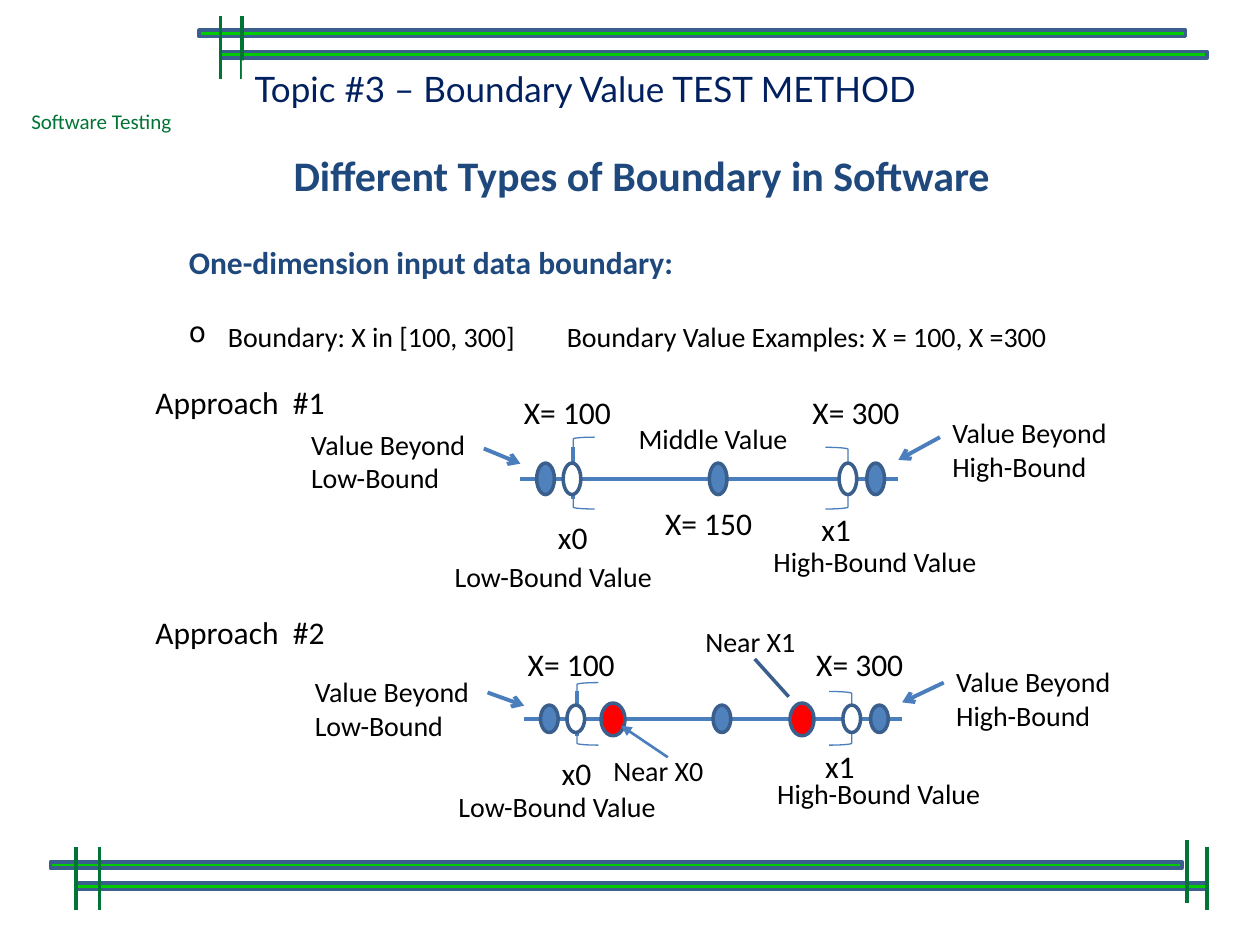
from pptx import Presentation
from pptx.dml.color import RGBColor
from pptx.enum.shapes import MSO_CONNECTOR, MSO_SHAPE
from pptx.enum.text import MSO_ANCHOR, MSO_AUTO_SIZE, PP_ALIGN
from pptx.oxml.ns import qn
from pptx.util import Emu, Inches, Pt
from lxml.etree import SubElement

COLS, ROWS = 100, 75

BLACK = RGBColor(0x00, 0x00, 0x00)
WHITE = RGBColor(0xFF, 0xFF, 0xFF)
NAVY = RGBColor(0x00, 0x20, 0x60)
STEEL = RGBColor(0x1F, 0x49, 0x7D)
BLUE = RGBColor(0x4F, 0x81, 0xBD)
AXIS = RGBColor(0x4B, 0x7E, 0xBC)
EDGE = RGBColor(0x3A, 0x5F, 0x8C)
GREEN = RGBColor(0x00, 0xCC, 0x00)
PINE = RGBColor(0x00, 0x74, 0x34)
RED = RGBColor(0xFF, 0x00, 0x00)


class Sheet:
    """One slide, drawn in columns and rows of an even grid."""

    font = "Calibri"

    def __init__(self, deck):
        self.col = deck.slide_width / COLS
        self.row = deck.slide_height / ROWS
        self.slide = deck.slides.add_slide(deck.slide_layouts[5])
        self.shapes = self.slide.shapes

    def place(self, x, y, w, h):
        return [Emu(round(n)) for n in
                (x * self.col, y * self.row, w * self.col, h * self.row)]

    def style(self, part, size, color, bold=False, font=None):
        for run in part.runs:
            run.font.name = font or self.font
            run.font.size = Pt(size)
            run.font.bold = bold
            run.font.color.rgb = color

    def shape(self, kind, x, y, w, h, fill=None, edge=EDGE, width=2):
        item = self.shapes.add_shape(kind, *self.place(x, y, w, h))
        item.shadow.inherit = False
        if fill is None:
            item.fill.background()
        else:
            item.fill.solid()
            item.fill.fore_color.rgb = fill
        if edge is None:
            item.line.fill.background()
        else:
            item.line.color.rgb = edge
            item.line.width = Pt(width)
        return item

    def line(self, x1, y1, x2, y2, color=AXIS, width=2.25, head=None):
        ends = self.place(x1, y1, x2, y2)
        item = self.shapes.add_connector(MSO_CONNECTOR.STRAIGHT, *ends)
        item.line.color.rgb = color
        item.line.width = Pt(width)
        props = item._element.spPr
        if head:
            SubElement(props.find(qn("a:ln")), qn("a:tailEnd"), type=head)
        SubElement(props, qn("a:effectLst"))

    def text(self, words, x, y, w, h, size=16, color=BLACK, wrap=False):
        box = self.shapes.add_textbox(*self.place(x, y, w, h))
        frame = box.text_frame
        frame.text = words
        frame.word_wrap = wrap
        frame.auto_size = MSO_AUTO_SIZE.SHAPE_TO_FIT_TEXT
        for part in frame.paragraphs:
            self.style(part, size, color)
        return frame

    def title(self, words, x, y, w, h):
        """Set the title above whatever is drawn so far."""
        item = self.shapes.title
        item.element.getparent().append(item.element)
        item.left, item.top, item.width, item.height = self.place(x, y, w, h)
        item.fill.solid()
        item.fill.fore_color.rgb = WHITE
        frame = item.text_frame
        frame.text = words
        frame.word_wrap = False
        frame.vertical_anchor = MSO_ANCHOR.MIDDLE
        frame.paragraphs[0].alignment = PP_ALIGN.LEFT
        self.style(frame.paragraphs[0], 20, NAVY, font="Lato")

    def banner(self, words, x, y, w, h):
        item = self.shape(MSO_SHAPE.RECTANGLE, x, y, w, h, WHITE, None)
        frame = item.text_frame
        frame.text = words
        frame.margin_left = frame.margin_right = Inches(0.16)
        frame.vertical_anchor = MSO_ANCHOR.MIDDLE
        frame.paragraphs[0].alignment = PP_ALIGN.LEFT
        self.style(frame.paragraphs[0], 24, STEEL, True)

    def bullet(self, part, mark, indent):
        props = part._p.get_or_add_pPr()
        props.set("marL", str(Inches(indent)))
        props.set("indent", str(-Inches(indent)))
        SubElement(props, qn("a:buChar"), char=mark)


def frame_bars(sheet):
    bars = [(15.8, 2.4, 78.3), (17.5, 4.1, 78.3), (4, 68.4, 89.8), (6, 70.1, 89.8)]
    for x, y, w in bars:
        sheet.shape(MSO_SHAPE.FLOWCHART_PROCESS, x, y, w, 0.5, GREEN)
    posts = [(17.5, 1.3), (19.2, 1.3), (6, 67.2), (7.9, 67.2),
             (95.8, 67.2), (94.2, 66.7)]
    for x, y in posts:
        sheet.line(x, y, x, y + 5, PINE)


def number_line(sheet, left, top, scale):
    """Draw the range; rows below its top shrink by the scale."""

    def box(x, y, w, h):
        return left + x, top + y * scale, w, h * scale

    def line(x1, y1, x2, y2, head=None):
        sheet.line(left + x1, top + y1 * scale,
                   left + x2, top + y2 * scale, head=head)

    line(0, 7.3, 30, 7.3)
    line(4.2, 4.8, 4.2, 8.9)
    sheet.shape(MSO_SHAPE.RIGHT_BRACKET, *box(24.2, 4.8, 1.8, 4.9), edge=AXIS, width=0.75)
    sheet.shape(MSO_SHAPE.LEFT_BRACKET, *box(4.2, 4, 1.7, 5.7), edge=AXIS, width=0.75)
    dots = [(15, BLUE), (27.5, BLUE), (1.3, BLUE), (25.3, WHITE), (3.4, WHITE)]
    for x, fill in dots:
        sheet.shape(MSO_SHAPE.OVAL, *box(x, 6.05, 1.4, 2.5), fill)
    labels = [
        ("x0", 2, 9.9, 4.4, 3.9, 18),
        ("x1", 22.9, 9.3, 4.4, 3.9, 18),
        ("X= 300", 22.2, 0, 9, 3.9, 18),
        ("X= 100", -0.7, 0, 9, 3.9, 18),
        ("High-Bound Value", 19.1, 12, 18.3, 3.6, 16),
        ("Low-Bound Value", -6.2, 13.2, 17.9, 3.6, 16),
        ("Value Beyond\nHigh-Bound", 33.3, 1.8, 14.9, 6.1, 16),
        ("Value Beyond\nLow-Bound", -17.6, 2.7, 14.9, 6.1, 16),
    ]
    for words, x, y, w, h, size in labels:
        sheet.text(words, *box(x, y, w, h), size)
    line(33.3, 4, 30, 5.8, "arrow")
    line(-2.9, 4.9, 0, 6.1, "arrow")


def main():
    deck = Presentation()
    deck.slide_width, deck.slide_height = Inches(10), Inches(7.5)
    sheet = Sheet(deck)

    sheet.text("Software Testing", 1.5, 8.1, 13.3, 3, 12, PINE)
    frame_bars(sheet)
    sheet.banner("Different Types of Boundary in Software", 21.7, 11.1, 59, 5.5)

    body = sheet.text(
        "One-dimension input data boundary:\n"
        "Boundary: X in [100, 300]\tBoundary Value Examples: X = 100, X =300",
        14, 18.8, 71.9, 12.5, wrap=True)
    lead, point = body.paragraphs
    sheet.style(lead, 18, STEEL, True)
    point.space_before = Pt(22)
    sheet.bullet(point, "o", 0.31)

    sheet.title("Topic #3 – Boundary Value TEST METHOD", 19.2, 4.8, 58.9, 4.4)

    number_line(sheet, 41.3, 30.7, 1)
    sheet.text("Middle Value", 49.7, 33, 14, 3.6)
    sheet.text("X= 150", 51.8, 39.5, 9, 3.9, 18)
    number_line(sheet, 41.6, 50.7, 0.87)

    for words, y in (("Approach  #1", 29.9), ("Approach  #2", 48.2)):
        sheet.text(words, 11.35, y, 15.5, 4, 18, wrap=True)
    sheet.text("Near X0", 47.7, 59.3, 9.3, 3.7)
    sheet.text("Near X1", 55, 49.1, 9.3, 3.7)
    for x in (47.7, 62.7):
        sheet.shape(MSO_SHAPE.OVAL, x, 55.8, 1.9, 2.6, RED)
    sheet.line(53, 60.1, 49.3, 57.6, width=1.5, head="triangle")
    sheet.line(59.9, 52.3, 62.6, 55.3, EDGE, 2)

    deck.save("out.pptx")


if __name__ == "__main__":
    main()
